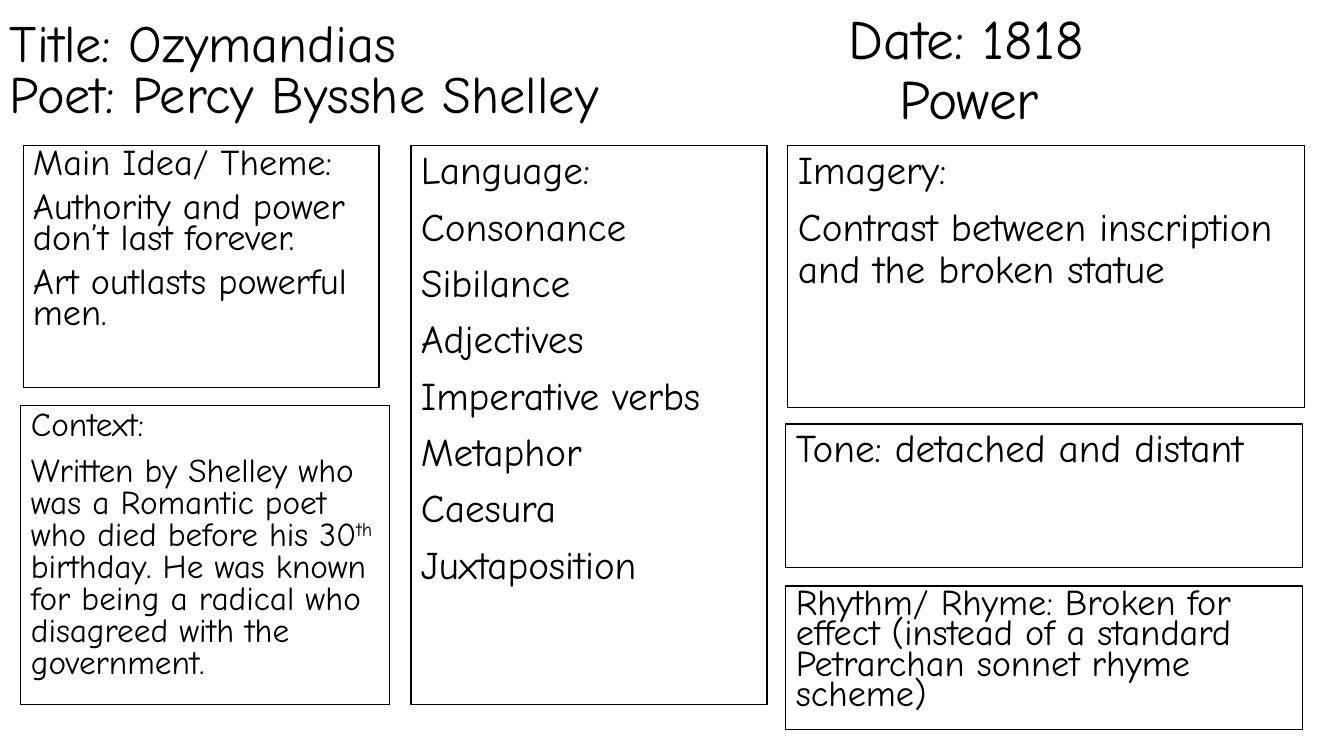
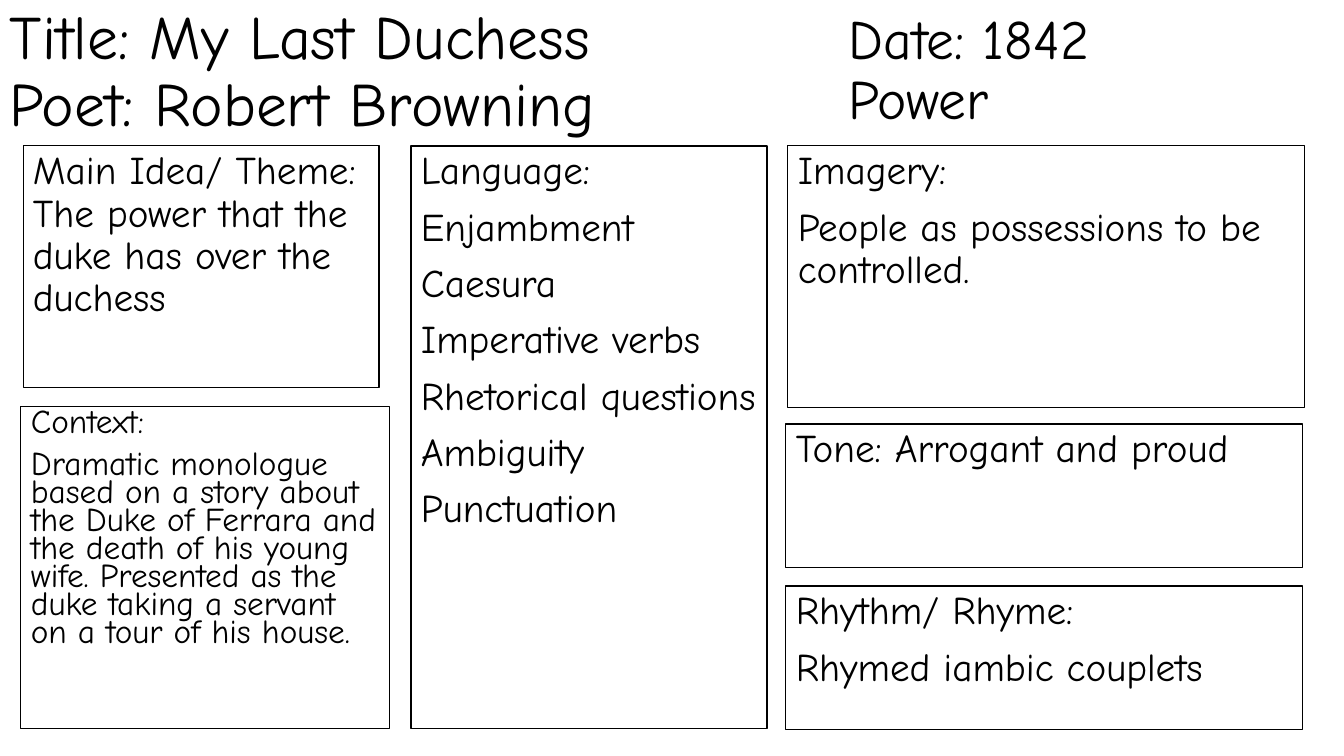
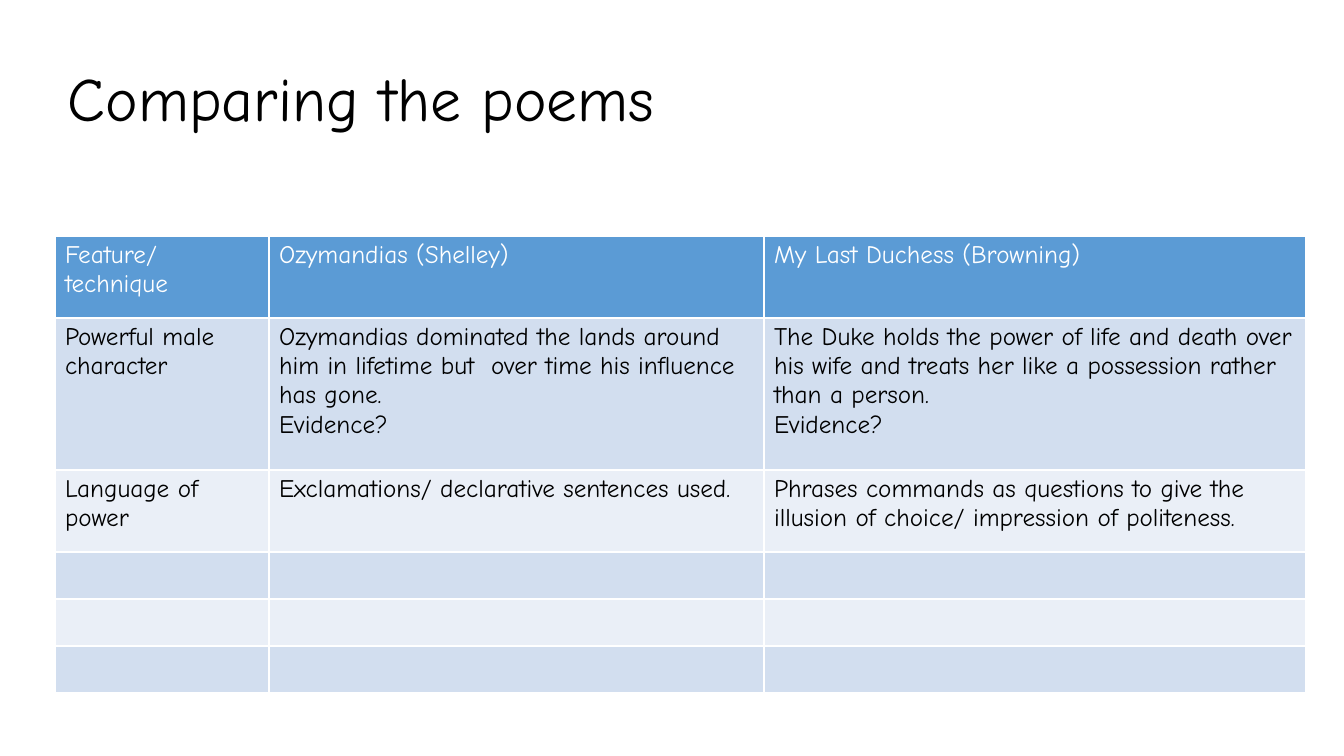
from dataclasses import dataclass
from typing import Any, NamedTuple

from lxml.etree import SubElement
from pptx import Presentation
from pptx.dml.color import RGBColor
from pptx.enum.shapes import MSO_SHAPE
from pptx.enum.text import MSO_ANCHOR
from pptx.oxml.ns import qn
from pptx.slide import Slide
from pptx.util import Emu, Pt


def px(n: int) -> Emu:
    return Emu(round(n * 914400 / 100.8))


@dataclass(frozen=True)
class Theme:
    font: str = "Comic Neue"
    ink: RGBColor = RGBColor(0x00, 0x00, 0x00)
    white: RGBColor = RGBColor(0xFF, 0xFF, 0xFF)
    header: RGBColor = RGBColor(0x5B, 0x9B, 0xD5)
    bands: tuple[RGBColor, ...] = (RGBColor(0xD2, 0xDE, 0xEF), RGBColor(0xEA, 0xEF, 0xF7))
    title: float = 44
    date: float = 39.6
    poem_small: float = 37.4
    body: float = 28
    body_small: float = 25.9
    context: float = 23.8
    cell: float = 18
    outline: float = 0.75
    border: float = 1
    para_gap: float = 10


T = Theme()


class Box(NamedTuple):
    x: int
    y: int
    w: int
    h: int


class Copy(NamedTuple):
    paras: list[str]
    size: float = T.body
    leading: float = 0.9


@dataclass(frozen=True)
class Poem:
    heading: Copy
    date: Copy
    theme: Copy
    imagery: Copy
    language: Copy
    context: Copy
    tone: Copy
    rhythm: Copy
    language_h: int
    context_h: int


def apply(obj: Any, values: dict[str, Any]) -> None:
    for name, value in values.items():
        setattr(obj, name, value)


def write(tf: Any, copy: Copy, gap: float = 0, color: RGBColor = T.ink) -> None:
    """Text between carets is superscript."""
    for i, text in enumerate(copy.paras):
        p = tf.paragraphs[0] if i == 0 else tf.add_paragraph()
        apply(p, {"line_spacing": copy.leading, "space_before": Pt(gap)})
        for n, line in enumerate(text.split("\n")):
            if n:
                p.add_line_break()
            for k, part in enumerate(line.split("^")):
                r = p.add_run()
                r.text = part
                apply(r.font, {"name": T.font, "size": Pt(copy.size)})
                r.font.color.rgb = color
                if k % 2:
                    r.font._element.set("baseline", "30000")


def add_heading(s: Slide, box: Box, copy: Copy) -> None:
    tf = s.shapes.add_textbox(*map(px, box)).text_frame
    apply(tf, {"word_wrap": True, "vertical_anchor": MSO_ANCHOR.MIDDLE})
    write(tf, copy)


def add_card(s: Slide, box: Box, copy: Copy) -> None:
    sp = s.shapes.add_shape(MSO_SHAPE.RECTANGLE, *map(px, box))
    sp.shadow.inherit = False
    sp.fill.background()
    sp.line.color.rgb = T.ink
    sp.line.width = Pt(T.outline)
    tf = sp.text_frame
    apply(tf, {"word_wrap": True, "vertical_anchor": MSO_ANCHOR.TOP})
    for p in tf.paragraphs:
        p.alignment = None
    write(tf, copy, T.para_gap)


def add_poem(s: Slide, poem: Poem) -> None:
    cards = [
        (Box(23, 146, 356, 242), poem.theme),
        (Box(788, 146, 517, 262), poem.imagery),
        (Box(411, 146, 356, poem.language_h), poem.language),
        (Box(21, 406, 369, poem.context_h), poem.context),
        (Box(786, 424, 517, 144), poem.tone),
        (Box(786, 586, 517, 144), poem.rhythm),
    ]
    for box, copy in cards:
        add_card(s, box, copy)
    add_heading(s, Box(0, 0, 730, 146), poem.heading)
    add_heading(s, Box(839, 14, 505, 115), poem.date)


def add_borders(cell: Any) -> None:
    tcPr = cell._tc.get_or_add_tcPr()
    for side in ("lnL", "lnR", "lnT", "lnB"):
        ln = SubElement(tcPr, qn(f"a:{side}"), w=str(Pt(T.border)))
        fill = SubElement(ln, qn("a:solidFill"))
        SubElement(fill, qn("a:srgbClr"), val=str(T.white))


def add_comparison(s: Slide, rows: list[list[str]], widths: list[int], heights: list[int]) -> None:
    box = Box(55, 236, sum(widths), sum(heights))
    table = s.shapes.add_table(len(heights), len(widths), *map(px, box)).table
    apply(table, {"first_row": False, "horz_banding": False})
    for col, w in zip(table.columns, widths):
        col.width = px(w)
    for i, h in enumerate(heights):
        table.rows[i].height = px(h)
        for j in range(len(widths)):
            cell = table.cell(i, j)
            add_borders(cell)
            cell.fill.solid()
            cell.fill.fore_color.rgb = T.bands[(i - 1) % 2] if i else T.header
            if i < len(rows):
                copy = Copy(rows[i][j].split("\n"), T.cell, 1.0)
                write(cell.text_frame, copy, color=T.ink if i else T.white)


POEMS = [
    Poem(
        heading=Copy(["Title: Ozymandias\nPoet: Percy Bysshe Shelley"], T.poem_small, 0.8),
        date=Copy(["Date: 1818\n\tPower"], T.date),
        theme=Copy(
            ["Main Idea/ Theme:", "Authority and power don’t last forever.", "Art outlasts powerful men."],
            T.body_small, 0.7,
        ),
        imagery=Copy(["Imagery:", "Contrast between inscription and the broken statue"]),
        language=Copy(["Language:", "Consonance", "Sibilance", "Adjectives", "Imperative verbs",
                       "Metaphor", "Caesura", "Juxtaposition"]),
        context=Copy(
            ["Context:",
             "Written by Shelley who was a Romantic poet who died before his 30^th^ birthday. "
             "He was known for being a radical who disagreed with the government."],
            T.context, 0.8,
        ),
        tone=Copy(["Tone: detached and distant"]),
        rhythm=Copy(
            ["Rhythm/ Rhyme: Broken for effect (instead of a standard Petrarchan sonnet rhyme scheme)"],
            T.body_small, 0.7,
        ),
        language_h=559,
        context_h=299,
    ),
    Poem(
        heading=Copy(["Title: My Last Duchess\nPoet: Robert Browning"], T.title),
        date=Copy(["Date: 1842\nPower"], T.date),
        theme=Copy(["Main Idea/ Theme: The power that the duke has over the duchess"]),
        imagery=Copy(["Imagery:", "People as possessions to be controlled."]),
        language=Copy(["Language:", "Enjambment", "Caesura", "Imperative verbs",
                       "Rhetorical questions", "Ambiguity", "Punctuation"]),
        context=Copy(
            ["Context:",
             "Dramatic monologue based on a story about the Duke of Ferrara and the death of his "
             "young wife. Presented as the duke taking a servant on a tour of his house."],
            T.context, 0.7,
        ),
        tone=Copy(["Tone: Arrogant and proud"]),
        rhythm=Copy(["Rhythm/ Rhyme:", "Rhymed iambic couplets"]),
        language_h=583,
        context_h=323,
    ),
]

COMPARISON = [
    ["Feature/ technique", "Ozymandias (Shelley)", "My Last Duchess (Browning)"],
    ["Powerful male character",
     "Ozymandias dominated the lands around him in lifetime but  over time his influence has gone.\nEvidence?",
     "The Duke holds the power of life and death over his wife and treats her like a possession "
     "rather than a person.\nEvidence?"],
    ["Language of power",
     "Exclamations/ declarative sentences used.",
     "Phrases commands as questions to give the illusion of choice/ impression of politeness."],
]


def main() -> None:
    prs = Presentation()
    apply(prs, {"slide_width": px(1344), "slide_height": px(756)})
    blank = prs.slide_layouts[6]
    for poem in POEMS:
        add_poem(prs.slides.add_slide(blank), poem)
    s = prs.slides.add_slide(blank)
    add_heading(s, Box(58, 17, 1246, 169), Copy(["Comparing the poems"], T.title))
    add_comparison(s, COMPARISON, [214, 495, 542], [82, 152, 82, 47, 47, 47])
    prs.save("out.pptx")


if __name__ == "__main__":
    main()
